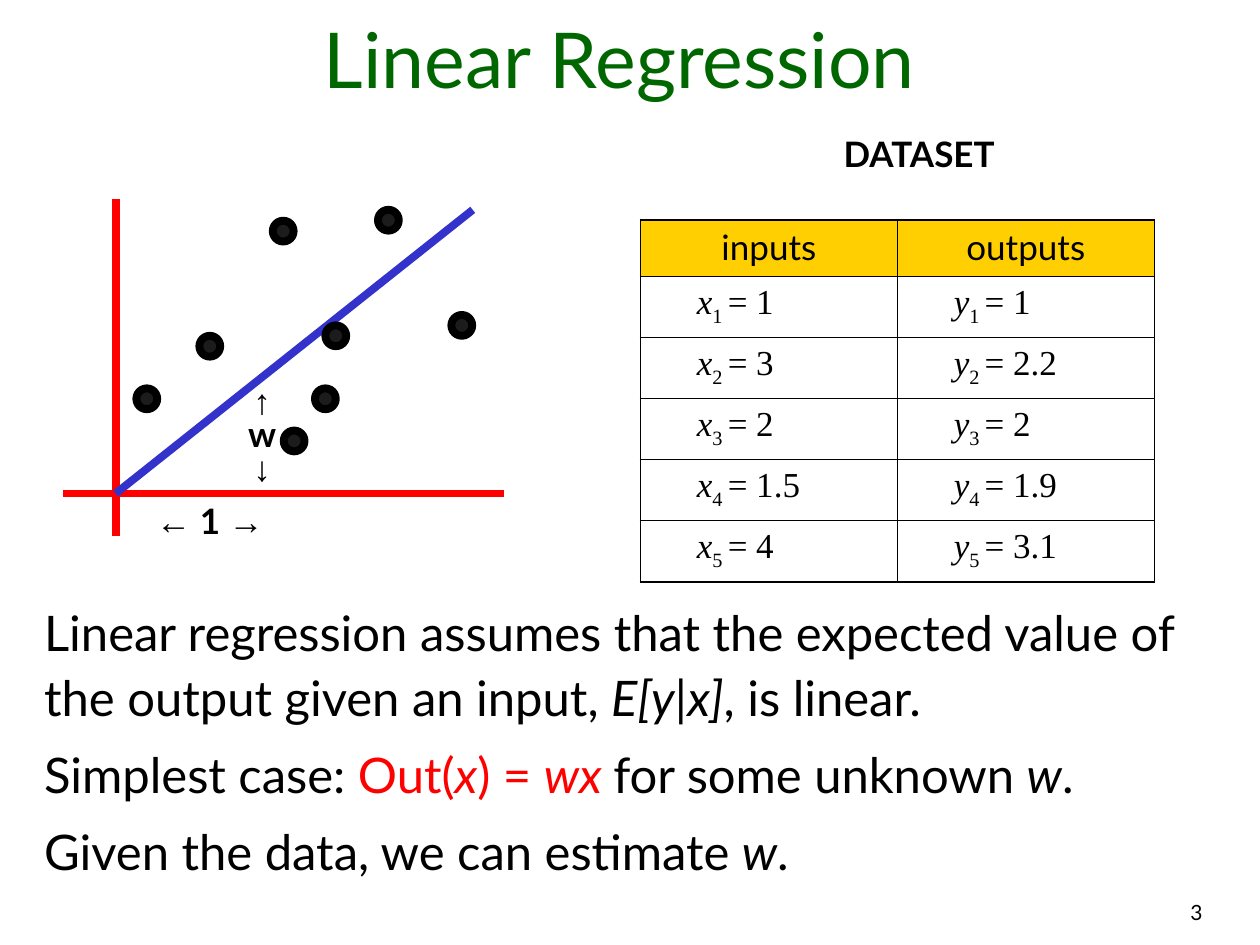
from dataclasses import dataclass

import pptx
import pptx.dml.color
import pptx.enum.shapes
import pptx.enum.text
import pptx.oxml
import pptx.oxml.ns
import pptx.util

Cm = pptx.util.Cm
Pt = pptx.util.Pt
ALIGN = pptx.enum.text.PP_ALIGN
ANCHOR = pptx.enum.text.MSO_ANCHOR


@dataclass(frozen=True)
class Theme:
    text: str = "000000"
    title: str = "006600"
    accent: str = "FF0000"
    fit_line: str = "3333CC"
    point: str = "1C1C1C"
    header: str = "FFCF01"
    sans: str = "Lato"
    serif: str = "Times New Roman"
    symbol: str = "Arial"
    title_size: float = 44
    body_size: float = 28
    label_size: float = 20
    number_size: float = 12
    stroke: float = 4.5
    outer_border: float = 1.08
    inner_border: float = 0.45


THEME = Theme()

POINTS = [(5.5, 4.45), (6.56, 6.56), (4.02, 6.77), (2.75, 7.83),
          (5.72, 8.68), (6.35, 7.83), (7.62, 4.23), (9.1, 6.35)]
POINT_SIZE = 0.42

DATASET = [("1", "1"), ("3", "2.2"), ("2", "2"), ("1.5", "1.9"), ("4", "3.1")]

ITALIC = {"italic": True}
RED = {"color": THEME.accent}
BODY = [
    [("Linear regression assumes that the expected value of the output "
      "given an input, ", {}), ("E[y|x]", ITALIC), (", is linear.", {})],
    [("Simplest case: ", {}), ("Out(", RED), ("x", RED | ITALIC),
     (") = ", RED), ("wx ", RED | ITALIC),
     ("for some unknown ", {}), ("w", ITALIC), (".", {})],
    [("Given the data, we can estimate ", {}), ("w", ITALIC), (".", {})],
]


def rgb(value):
    return pptx.dml.color.RGBColor.from_string(value)


def add_run(paragraph, text, size, font=THEME.sans, color=THEME.text,
            bold=False, italic=False, subscript=False):
    run = paragraph.add_run()
    run.text = text
    run.font.size = Pt(size)
    run.font.name = font
    run.font.color.rgb = rgb(color)
    run.font.bold = bold
    run.font.italic = italic
    if subscript:
        run._r.get_or_add_rPr().set("baseline", "-25000")


def add_text(slide, box, paragraphs, size, align=ALIGN.LEFT, anchor=ANCHOR.TOP,
             line_spacing=1.0, space_before=0, **style):
    """Each paragraph is a list of (text, run style) pairs."""
    frame = slide.shapes.add_textbox(*map(Cm, box)).text_frame
    frame.word_wrap = True
    frame.vertical_anchor = anchor
    for index, runs in enumerate(paragraphs):
        paragraph = frame.add_paragraph() if index else frame.paragraphs[0]
        paragraph.alignment = align
        paragraph.line_spacing = line_spacing
        if index:
            paragraph.space_before = Pt(space_before)
        for text, changes in runs:
            add_run(paragraph, text, size, **(style | changes))


def add_line(slide, start, end, color):
    line = slide.shapes.add_connector(
        pptx.enum.shapes.MSO_CONNECTOR.STRAIGHT, *map(Cm, start + end))
    line.line.color.rgb = rgb(color)
    line.line.width = Pt(THEME.stroke)
    line._element.spPr.append(pptx.oxml.parse_xml(
        f'<a:effectLst {pptx.oxml.ns.nsdecls("a")}/>'))


def add_point(slide, left, top):
    shape = slide.shapes.add_shape(
        pptx.enum.shapes.MSO_SHAPE.FLOWCHART_CONNECTOR,
        Cm(left), Cm(top), Cm(POINT_SIZE), Cm(POINT_SIZE))
    shape.shadow.inherit = False
    shape.fill.solid()
    shape.fill.fore_color.rgb = rgb(THEME.point)
    shape.line.color.rgb = rgb(THEME.text)
    shape.line.width = Pt(THEME.stroke)


def set_borders(cell, outer_sides):
    properties = cell._tc.get_or_add_tcPr()
    for side in "LRTB":
        width = THEME.outer_border if side in outer_sides else THEME.inner_border
        properties.append(pptx.oxml.parse_xml(
            f'<a:ln{side} {pptx.oxml.ns.nsdecls("a")} w="{Pt(width)}">'
            f'<a:solidFill><a:srgbClr val="{THEME.text}"/></a:solidFill>'
            f'</a:ln{side}>'))


def add_dataset_table(slide):
    row_count = len(DATASET) + 1
    table = slide.shapes.add_table(
        row_count, 2, Cm(12.91), Cm(4.43), Cm(10.36), Cm(7.3)).table
    table.first_row = False
    table.horz_banding = False
    for column in table.columns:
        column.width = Cm(5.18)
    for index, row in enumerate(table.rows):
        row.height = Cm(1.23 if index else 1.15)
        for column, cell in enumerate(row.cells):
            outer = "LR"[column]
            outer += "T" if index == 0 else ""
            outer += "B" if index == row_count - 1 else ""
            set_borders(cell, outer)
            paragraph = cell.text_frame.paragraphs[0]
            if index == 0:
                cell.fill.solid()
                cell.fill.fore_color.rgb = rgb(THEME.header)
                paragraph.alignment = ALIGN.CENTER
                add_run(paragraph, ("inputs", "outputs")[column], THEME.label_size)
                continue
            cell.fill.background()
            cell.margin_left = Cm(1.14)
            equation = [("xy"[column], ITALIC), (f"{index} ", {"subscript": True}),
                        (f"= {DATASET[index - 1][column]}", {})]
            for text, changes in equation:
                add_run(paragraph, text, THEME.label_size, THEME.serif, **changes)


def add_plot(slide):
    # Axes and fitted line
    origin = (2.33, 9.95)
    add_line(slide, (2.33, 4.02), (2.33, 10.8), THEME.accent)
    add_line(slide, (1.27, 9.95), (10.16, 9.95), THEME.accent)
    add_line(slide, origin, (9.53, 4.23), THEME.fit_line)

    # Data points
    for left, top in POINTS:
        add_point(slide, left, top)

    # Slope labels: run of 1 under the axis, rise of w between line and axis
    symbol = {"font": THEME.symbol}
    add_text(slide, (2.9, 9.95, 4.07, 1.12),
             [[("←", symbol), (" 1 ", {}), ("→", symbol)]],
             THEME.label_size, bold=True)
    add_text(slide, (4.65, 7.68, 1.27, 2.29),
             [[("↑", symbol)], [("w", {})], [("↓", symbol)]],
             THEME.label_size, ALIGN.CENTER, line_spacing=0.8, bold=True)


def main():
    presentation = pptx.Presentation()
    presentation.slide_width = Cm(25.4)
    presentation.slide_height = Cm(19.05)
    slide = presentation.slides.add_slide(presentation.slide_layouts[6])

    # Title, body and slide number
    add_text(slide, (0.64, 0.43, 23.7, 1.8), [[("Linear Regression", {})]],
             THEME.title_size, ALIGN.CENTER, ANCHOR.BOTTOM, color=THEME.title)
    add_text(slide, (0.64, 11.91, 23.83, 6.07), BODY, THEME.body_size,
             line_spacing=1.1, space_before=7)
    add_text(slide, (14.53, 18.01, 9.96, 0.84), [[("3", {})]],
             THEME.number_size, ALIGN.RIGHT)

    # Dataset
    add_text(slide, (13.13, 2.54, 10.8, 1.12), [[("DATASET", {})]],
             THEME.label_size, ALIGN.CENTER, bold=True)
    add_dataset_table(slide)

    add_plot(slide)
    presentation.save("out.pptx")


if __name__ == "__main__":
    main()
